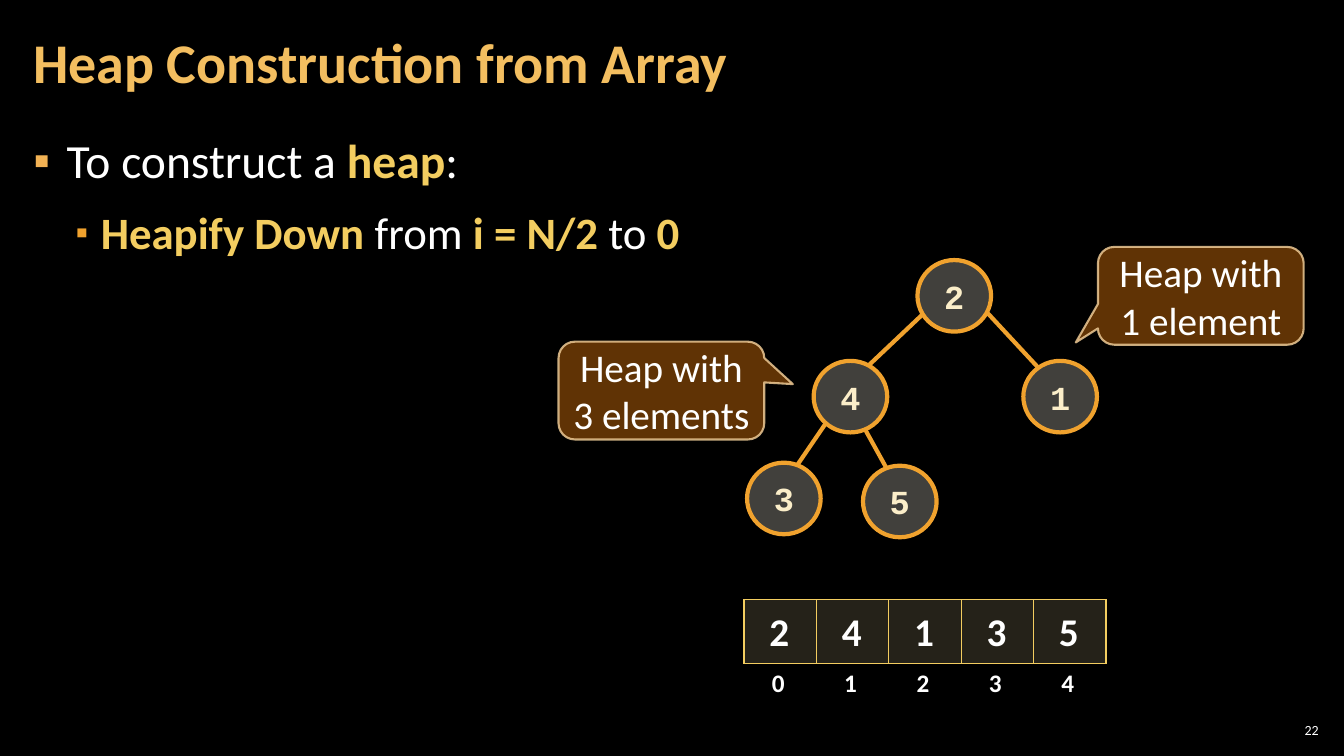
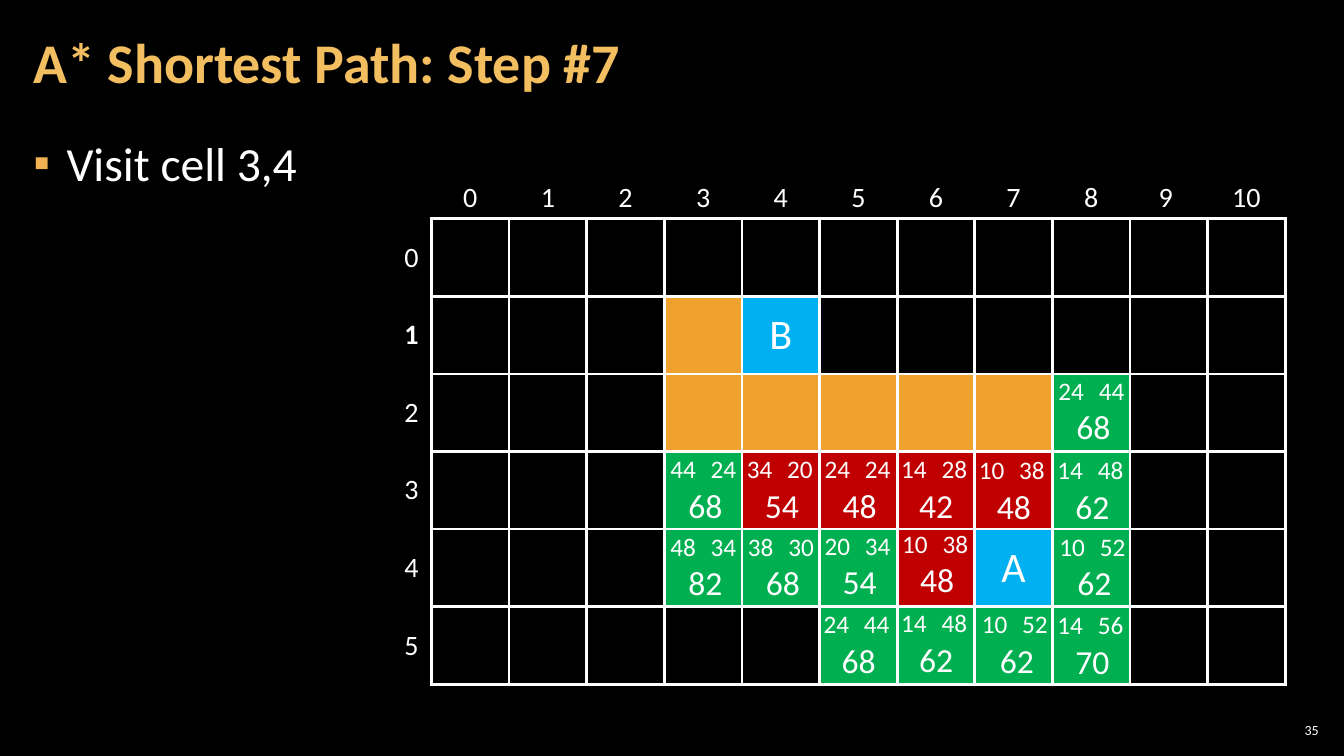
from collections import namedtuple

from lxml import etree
from pptx import Presentation
from pptx.dml.color import RGBColor
from pptx.enum.shapes import MSO_CONNECTOR, MSO_SHAPE
from pptx.enum.text import MSO_ANCHOR, MSO_AUTO_SIZE, PP_ALIGN
from pptx.oxml.ns import qn
from pptx.util import Inches, Pt

CENTER, LEFT, RIGHT = PP_ALIGN.CENTER, PP_ALIGN.LEFT, PP_ALIGN.RIGHT
TOP, MIDDLE, NO_AUTOFIT = MSO_ANCHOR.TOP, MSO_ANCHOR.MIDDLE, MSO_AUTO_SIZE.NONE
ELLIPSE, CALLOUT = MSO_SHAPE.OVAL, MSO_SHAPE.ROUNDED_RECTANGULAR_CALLOUT
STRAIGHT = MSO_CONNECTOR.STRAIGHT

COLORS = {
    "background": "000000", "text": "FFFFFF", "title": "F3BE60",
    "emphasis": "F3CD60", "bullet": "F2B254", "accent": "F0A22E",
    "node": "D9D5C7", "node_text": "FBEEC9", "array": "7C7154",
    "callout": "663606", "callout_line": "F8D49E",
    "endpoint": "00B0F0", "open": "00B050", "visited": "C00000",
}
TITLE = {"name": "Calibri", "size": Pt(40), "bold": True}
PAGE_NUMBER = {"name": "Calibri", "size": Pt(10)}
NODE = {"name": "Courier New", "size": Pt(24), "bold": True}
CALLOUT_TEXT = {"name": "Calibri", "size": Pt(28)}
ARRAY_VALUE = {"name": "Calibri", "size": Pt(28), "bold": True}
ARRAY_INDEX = {"name": "Calibri", "size": Pt(18), "bold": True}
GRID_HEADER = {"name": "Calibri", "size": Pt(20)}
GRID_ENDPOINT = {"name": "Calibri", "size": Pt(30)}
COST_TOTAL = {"name": "Calibri", "size": Pt(24)}
COST_PART = {"name": "Calibri", "size": Pt(18)}

Box = namedtuple("Box", "left top width height")
Run = namedtuple("Run", "text strong", defaults=[False])
Level = namedtuple("Level", "indent hanging size color percent")
Bullet = namedtuple("Bullet", "runs level spacing", defaults=[0, 1.0])
Node = namedtuple("Node", "label left top")
Edge = namedtuple("Edge", "x1 y1 x2 y2")
Callout = namedtuple("Callout", "text left top tip")
Cost = namedtuple("Cost", "left top from_start to_goal")

LEVELS = [Level(0.33, 0.33, 34, "bullet", 100), Level(0.67, 0.25, 32, "accent", 80)]
NODES = [Node("2", 9.1, 2.58), Node("1", 10.15, 3.58), Node("4", 8.07, 3.58),
         Node("3", 7.41, 4.59), Node("5", 8.56, 4.62)]
EDGES = [Edge(9.16, 3.11, 8.61, 3.63), Edge(8.19, 4.2, 7.91, 4.61),
         Edge(8.58, 4.26, 8.79, 4.64), Edge(9.79, 3.1, 10.3, 3.65)]
CALLOUTS = [Callout("Heap with 1 element", 10.89, 2.45, (-0.608, 0.477)),
            Callout("Heap with 3 elements", 5.54, 3.39, (0.639, -0.066))]
HEAP = "24135"
ARRAY_STEP = 3.59 / len(HEAP)

HEADER, CELL = 0.4, 0.77
COLUMN_LABELS = [*"012345678", "9 ", "10"]
GRID = ["...........",
        "...WB......",
        "...WWWWWO..",
        "...OVVVVO..",
        "...OOOVAO..",
        ".....OOOO.."]
GRID_FILLS = {"W": "accent", "O": "open", "V": "visited", "A": "endpoint", "B": "endpoint"}
COSTS = [
    Cost(8.84, 5.98, 14, 48), Cost(8.84, 4.45, 14, 28), Cost(10.39, 4.46, 14, 48),
    Cost(10.41, 5.22, 10, 52), Cost(9.64, 5.99, 10, 52), Cost(10.39, 6, 14, 56),
    Cost(8.08, 4.45, 24, 24), Cost(8.08, 5.21, 20, 34), Cost(7.32, 5.22, 38, 30),
    Cost(10.4, 3.67, 24, 44), Cost(9.61, 4.46, 10, 38), Cost(8.85, 5.19, 10, 38),
    Cost(8.07, 5.99, 24, 44), Cost(7.31, 4.45, 34, 20), Cost(6.55, 4.45, 44, 24),
    Cost(6.55, 5.22, 48, 34),
]


def inches(values: tuple) -> list:
    return [Inches(value) for value in values]


def paint(fill, color: str) -> None:
    fill.solid()
    fill.fore_color.rgb = RGBColor.from_string(COLORS[color])


def fade(parent, percent: int) -> None:
    """Make the solid fill directly under parent partly transparent."""
    color = parent.find(f"{qn('a:solidFill')}/{qn('a:srgbClr')}")
    etree.SubElement(color, qn("a:alpha"), val=str(percent * 1000))


def write(paragraph, text: str, formats: dict, color: str = "text", align=CENTER) -> None:
    paragraph.alignment = align
    run = paragraph.add_run()
    run.text = text
    for attribute, value in formats.items():
        setattr(run.font, attribute, value)
    run.font.color.rgb = RGBColor.from_string(COLORS[color])


def set_frame(frame, anchor, margins: tuple = (0.1, 0.05), wrap: bool = True) -> None:
    frame.auto_size, frame.word_wrap, frame.vertical_anchor = NO_AUTOFIT, wrap, anchor
    for side, value in zip(("left", "top", "right", "bottom"), margins * 2):
        setattr(frame, f"margin_{side}", Inches(value))


def add_text(shapes, box: Box, text: str, formats: dict, align=CENTER,
             anchor=TOP, margins: tuple = (0.1, 0.05)) -> None:
    frame = shapes.add_textbox(*inches(box)).text_frame
    set_frame(frame, anchor, margins)
    write(frame.paragraphs[0], text, formats, align=align)


def add_bullet(paragraph, bullet: Bullet) -> None:
    level = LEVELS[bullet.level]
    paragraph.level, paragraph.line_spacing = bullet.level, bullet.spacing
    paragraph.space_before, paragraph.space_after = Pt(6 if bullet.level else 0), Pt(6)
    properties = paragraph._p.get_or_add_pPr()
    properties.set("marL", str(Inches(level.indent)))
    properties.set("indent", str(-Inches(level.hanging)))
    color = etree.SubElement(properties, qn("a:buClr"))
    etree.SubElement(color, qn("a:srgbClr"), val=COLORS[level.color])
    etree.SubElement(properties, qn("a:buSzPct"), val=str(level.percent * 1000))
    etree.SubElement(properties, qn("a:buChar"), char="▪")
    for text, strong in bullet.runs:
        formats = {"name": "Calibri", "size": Pt(level.size), "bold": strong}
        write(paragraph, text, formats, "emphasis" if strong else "text", LEFT)


def add_slide(prs, title: str, bullets: list, number: int):
    slide = prs.slides.add_slide(prs.slide_layouts[1])
    heading, body = slide.placeholders
    for holder, box, anchor in ((heading, Box(0.21, 0.04, 10.47, 1.21), MIDDLE),
                                (body, Box(0.21, 1.26, 12.91, 6.09), TOP)):
        holder.left, holder.top, holder.width, holder.height = inches(box)
        set_frame(holder.text_frame, anchor, (0.12, 0.04))
    title_line = heading.text_frame.paragraphs[0]
    title_line.line_spacing = 0.9
    write(title_line, title, TITLE, "title", LEFT)
    frame = body.text_frame
    for index, bullet in enumerate(bullets):
        add_bullet(frame.add_paragraph() if index else frame.paragraphs[0], bullet)
    add_text(slide.shapes, Box(12.65, 7.14, 0.47, 0.21), str(number), PAGE_NUMBER,
             RIGHT, MIDDLE, (0.04, 0.04))
    return slide


def add_table(slide, left: float, top: float, widths: list, heights: list):
    box = Box(left, top, sum(widths), sum(heights))
    table = slide.shapes.add_table(len(heights), len(widths), *inches(box)).table
    table.first_row = table.horz_banding = False
    for column, width in zip(table.columns, widths):
        column.width = Inches(width)
    for row, height in zip(table.rows, heights):
        row.height = Inches(height)
    return table


def format_cell(cell, fill: str = "", sides: str = "", line: str = "text",
                points: float = 2.25) -> None:
    """Draw the borders named in sides (L, R, T, B), hide the others, and fill."""
    cell.vertical_anchor = MIDDLE
    cell.margin_left = cell.margin_right = Inches(0.08)
    cell.margin_top = cell.margin_bottom = Inches(0.04)
    properties = cell._tc.get_or_add_tcPr()
    for side in "LRTB":
        border = etree.SubElement(properties, qn(f"a:ln{side}"), w=str(Pt(points)))
        if side in sides:
            solid = etree.SubElement(border, qn("a:solidFill"))
            etree.SubElement(solid, qn("a:srgbClr"), val=COLORS[line])
        else:
            etree.SubElement(border, qn("a:noFill"))
    if fill:
        paint(cell.fill, fill)
    else:
        cell.fill.background()


def add_outlined(slide, kind, box: Box, fill: str, opacity: int, line: str, points: float):
    shape = slide.shapes.add_shape(kind, *inches(box))
    shape.shadow.inherit = False
    paint(shape.fill, fill)
    paint(shape.line.fill, line)
    shape.line.width = Pt(points)
    fade(shape._element.spPr, opacity)
    return shape


def add_tree(slide) -> None:
    for edge in EDGES:
        connector = slide.shapes.add_connector(STRAIGHT, *inches(edge))
        paint(connector.line.fill, "accent")
        connector.line.width = Pt(3)
        etree.SubElement(connector._element.spPr, qn("a:effectLst"))
    for label, left, top in NODES:
        circle = add_outlined(slide, ELLIPSE, Box(left, top, 0.73, 0.71),
                              "node", 30, "accent", 3)
        set_frame(circle.text_frame, MIDDLE, wrap=False)
        write(circle.text_frame.paragraphs[0], label, NODE, "node_text")


def add_callout(slide, callout: Callout) -> None:
    shape = add_outlined(slide, CALLOUT, Box(callout.left, callout.top, 2.04, 0.97),
                         "callout", 95, "callout_line", 1.5)
    fade(shape._element.spPr.find(qn("a:ln")), 80)
    shape.adjustments[0], shape.adjustments[1] = callout.tip
    set_frame(shape.text_frame, MIDDLE)
    write(shape.text_frame.paragraphs[0], callout.text, CALLOUT_TEXT)


def add_heap_array(slide) -> None:
    widths = [ARRAY_STEP] * len(HEAP)
    slots = add_table(slide, 7.38, 5.95, widths, [0.63])
    indices = add_table(slide, 7.36, 6.58, widths, [0.4])
    for index, value in enumerate(HEAP):
        slot, label = slots.cell(0, index), indices.cell(0, index)
        format_cell(slot, "array", "LRTB", "emphasis", 1)
        fade(slot._tc.tcPr, 30)
        add_text(slide.shapes, Box(7.53 + ARRAY_STEP * index, 5.98, 0.4, 0.57),
                 value, ARRAY_VALUE)
        format_cell(label)
        write(label.text_frame.paragraphs[0], str(index), ARRAY_INDEX)


def add_grid(slide) -> None:
    table = add_table(slide, 3.88, 1.75, [HEADER] + [CELL] * len(COLUMN_LABELS),
                      [HEADER] + [CELL] * len(GRID))
    format_cell(table.cell(0, 0))
    for column, label in enumerate(COLUMN_LABELS, 1):
        header = table.cell(0, column)
        format_cell(header, sides="B")
        write(header.text_frame.paragraphs[0], label, GRID_HEADER)
    for row, marks in enumerate(GRID):
        header = table.cell(row + 1, 0)
        format_cell(header, sides="R")
        write(header.text_frame.paragraphs[0], str(row), {**GRID_HEADER, "bold": row == 1})
        for column, mark in enumerate(marks, 1):
            cell = table.cell(row + 1, column)
            format_cell(cell, GRID_FILLS.get(mark, ""), "LRTB")
            if mark in "AB":
                write(cell.text_frame.paragraphs[0], mark, GRID_ENDPOINT)


def add_cost(slide, cost: Cost) -> None:
    """Write both costs of a grid cell above their sum."""
    left, top, *parts = cost
    shapes = slide.shapes.add_group_shape().shapes
    add_text(shapes, Box(left + 0.07, top + 0.31, 0.75, 0.5), str(sum(parts)), COST_TOTAL)
    for index, part in enumerate(parts):
        add_text(shapes, Box(left + 0.4 * index, top, 0.5, 0.4), str(part), COST_PART, LEFT)


def main() -> None:
    prs = Presentation()
    prs.slide_width, prs.slide_height = Inches(13.33), Inches(7.5)
    paint(prs.slide_master.background.fill, "background")

    heap = add_slide(prs, "Heap Construction from Array", [
        Bullet([Run("To construct a "), Run("heap", True), Run(":")]),
        Bullet([Run("Heapify Down ", True), Run("from "), Run("i = N/2 ", True),
                Run("to "), Run("0", True)], level=1),
    ], 22)
    add_tree(heap)
    add_heap_array(heap)
    for callout in CALLOUTS:
        add_callout(heap, callout)

    path_step = add_slide(prs, "A* Shortest Path: Step #7",
                          [Bullet([Run("Visit cell 3,4")], spacing=1.05)], 35)
    add_grid(path_step)
    for cost in COSTS:
        add_cost(path_step, cost)
    prs.save("out.pptx")


if __name__ == "__main__":
    main()
